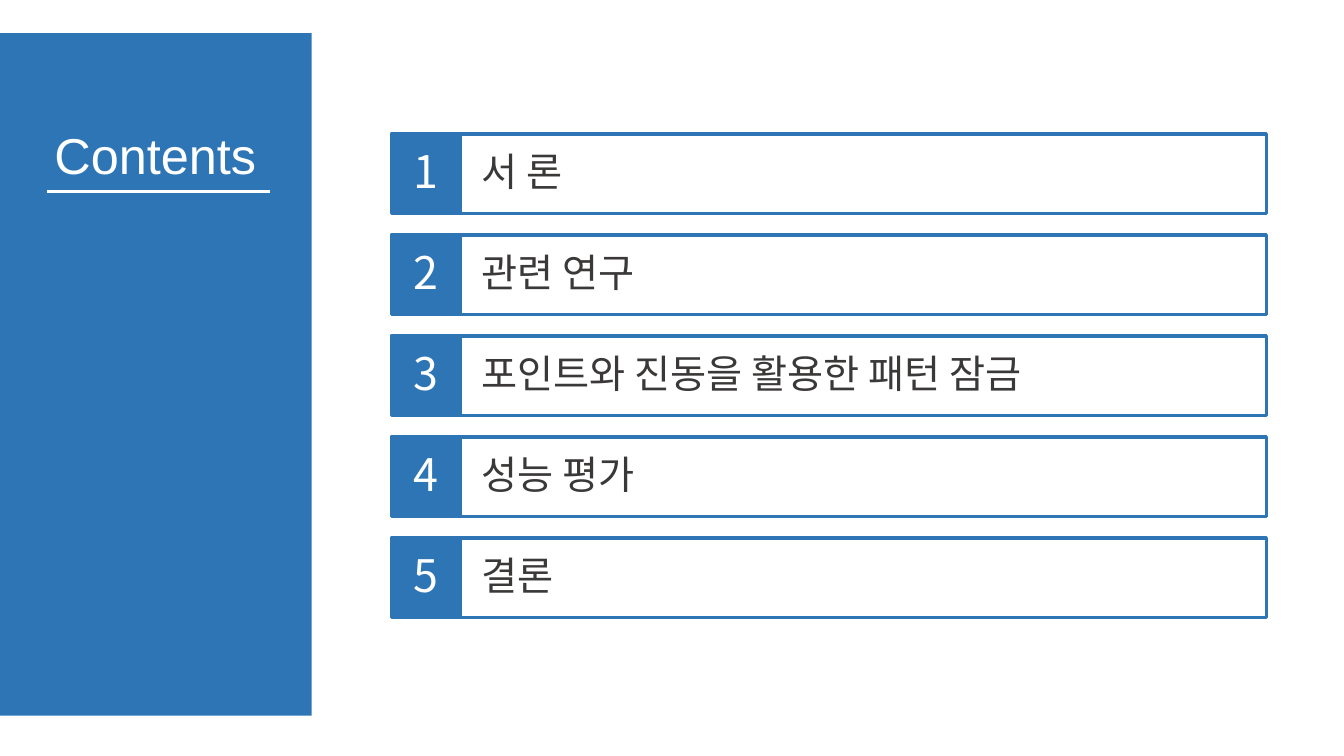
from dataclasses import dataclass

from lxml.etree import SubElement
from pptx import Presentation
from pptx.dml.color import RGBColor as RGB
from pptx.enum.shapes import MSO_CONNECTOR as Connector, MSO_SHAPE as Shape
from pptx.enum.text import MSO_ANCHOR as Anchor, MSO_AUTO_SIZE as AutoSize, PP_ALIGN as Align
from pptx.oxml.ns import qn
from pptx.util import Inches, Pt


@dataclass(frozen=True)
class Theme:
    blue: RGB = RGB.from_string("2E75B6")
    white: RGB = RGB.from_string("FFFFFF")
    ink: RGB = RGB.from_string("3B3838")
    title_font: str = "Arial"
    body_font: str = "Noto Sans CJK KR"
    title_size: int = 36
    number_size: int = 32
    label_size: int = 28
    border: float = 2.25
    rule: float = 1.5


THEME = Theme()
WIDTH, HEIGHT = 13.33, 7.5
CHAPTERS = ["서 론", "관련 연구", "포인트와 진동을 활용한 패턴 잠금", "성능 평가", "결론"]


def write(sp, text, font, size, color, align):
    tf = sp.text_frame
    tf.text = text
    tf.word_wrap = True
    tf.auto_size = AutoSize.NONE
    tf.vertical_anchor = Anchor.MIDDLE
    p = tf.paragraphs[0]
    p.alignment = align
    p.line_spacing = 0.9
    p.space_before = Pt(0)
    r = p.runs[0]
    r.font.name = font
    r.font.size = Pt(size)
    r.font.color.rgb = color
    SubElement(r.font._element, qn("a:ea"), typeface=font)


def add_box(slide, x, y, w, h, fill=None, border=None):
    sp = slide.shapes.add_shape(Shape.RECTANGLE, Inches(x), Inches(y), Inches(w), Inches(h))
    sp.shadow.inherit = False
    if fill is None:
        sp.fill.background()
    else:
        sp.fill.solid()
        sp.fill.fore_color.rgb = fill
    if border is None:
        sp.line.fill.background()
    else:
        sp.line.color.rgb = border
        sp.line.width = Pt(THEME.border)
    return sp


def add_sidebar(slide, x, y, w, h):
    panel = add_box(slide, x, y, w, h, fill=THEME.blue)
    title = slide.shapes.title
    panel._element.addnext(title._element)
    title.left, title.top = Inches(x + 0.23), Inches(y + 1)
    title.width, title.height = Inches(w - 0.47), Inches(0.47)
    write(title, "Contents", THEME.title_font, THEME.title_size, THEME.white, Align.CENTER)

    rule_y = Inches(y + 1.57)
    rule = slide.shapes.add_connector(
        Connector.STRAIGHT, Inches(x + 0.47), rule_y, Inches(x + w - 0.41), rule_y)
    rule.line.color.rgb = THEME.white
    rule.line.width = Pt(THEME.rule)
    SubElement(rule._element.spPr, qn("a:effectLst"))


def add_chapter(slide, x, y, w, h, number, name):
    add_box(slide, x + 0.61, y, w - 0.61, h, border=THEME.blue)
    badge = add_box(slide, x, y, 0.69, h, fill=THEME.blue, border=THEME.blue)
    write(badge, str(number), THEME.body_font, THEME.number_size, THEME.white, Align.CENTER)
    label = slide.shapes.add_textbox(
        Inches(x + 0.8), Inches(y), Inches(w - 0.81), Inches(h))
    write(label, name, THEME.body_font, THEME.label_size, THEME.ink, Align.LEFT)


def add_chapters(slide, x, y, w, h, names):
    gap = 0.21
    row = (h - gap * (len(names) - 1)) / len(names)
    for i, name in enumerate(names):
        add_chapter(slide, x, y + i * (row + gap), w, row, i + 1, name)


def main():
    prs = Presentation()
    prs.slide_width, prs.slide_height = Inches(WIDTH), Inches(HEIGHT)
    slide = prs.slides.add_slide(prs.slide_layouts[5])
    add_sidebar(slide, 0, 0.33, 3.09, 6.77)
    add_chapters(slide, 3.88, 1.33, 8.68, 4.8, CHAPTERS)
    prs.save("out.pptx")


if __name__ == "__main__":
    main()
